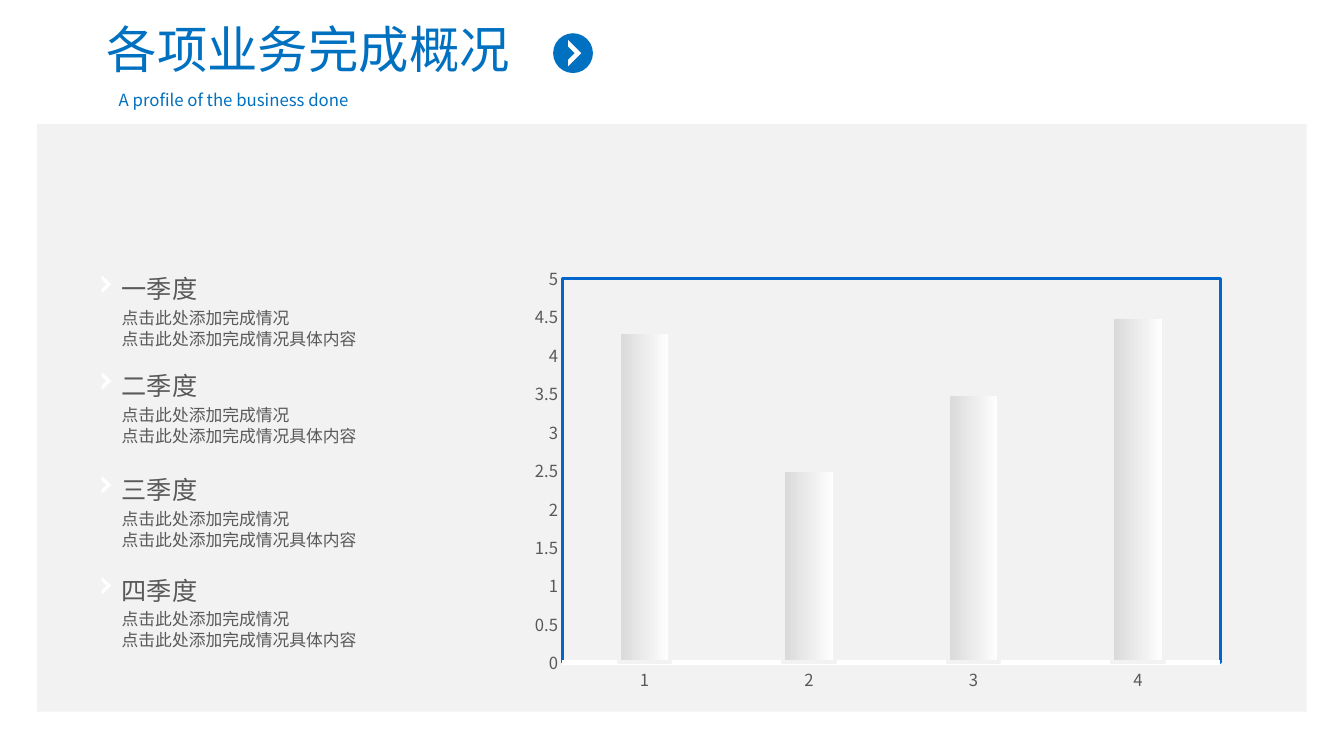
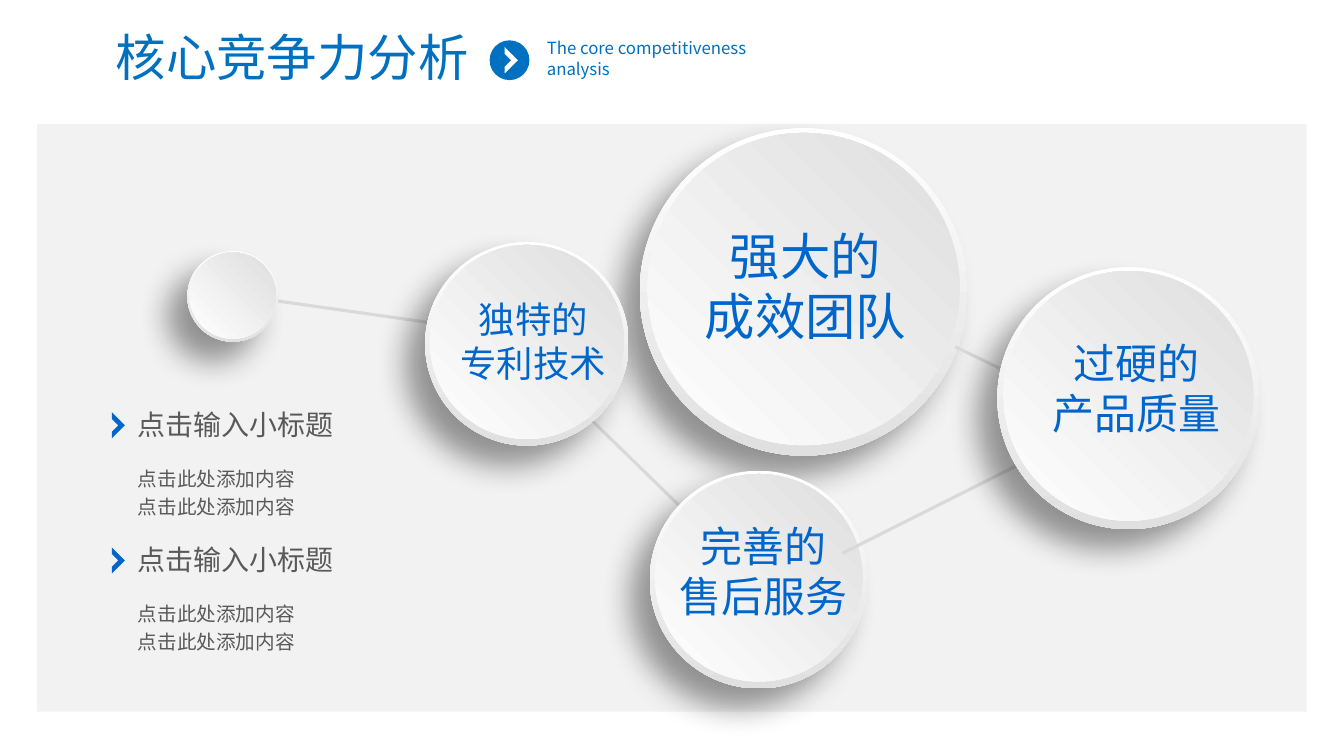
import dataclasses
import typing

import lxml.etree
import pptx
import pptx.chart.data
import pptx.dml.color
import pptx.enum.chart
import pptx.enum.shapes
import pptx.enum.text
import pptx.oxml.ns
import pptx.util

RGB = pptx.dml.color.RGBColor
Pt = pptx.util.Pt
ALIGN = pptx.enum.text.PP_ALIGN
SHAPE = pptx.enum.shapes.MSO_SHAPE
qn = pptx.oxml.ns.qn

SKY = RGB(0x00, 0x70, 0xC0)
BLUE = RGB(0x00, 0x66, 0xCC)
TEXT = RGB(0x59, 0x59, 0x59)
PALE = RGB(0xF2, 0xF2, 0xF2)
GREY = RGB(0xD9, 0xD9, 0xD9)
RIM = RGB(0xE0, 0xE0, 0xE0)
FACE = RGB(0xDD, 0xDE, 0xDD)
WHITE = RGB(0xFF, 0xFF, 0xFF)
FONT = "Noto Sans CJK SC"

# The grid has square cells, ten to the inch.
CELL = pptx.util.Inches(0.1)
COLS, ROWS = 133.4, 75


class Box(typing.NamedTuple):
    left: float
    top: float
    width: float
    height: float

    def size(self) -> list[int]:
        return [cells(n) for n in self]


class Link(typing.NamedTuple):
    x1: float
    y1: float
    x2: float
    y2: float


@dataclasses.dataclass
class Head:
    title: str
    place: Box
    note: str
    spot: Box
    badge: tuple[float, float]


@dataclasses.dataclass
class Point:
    top: float
    head: str
    lines: list[str]


@dataclasses.dataclass
class Style:
    """How a list of points is set; gaps count from the top of a point."""
    mark: Box
    tint: RGB
    size: float
    lead: float
    drop: float
    small: float
    tight: float


@dataclasses.dataclass
class Disc:
    left: float
    top: float
    width: float
    links: list[Link] = dataclasses.field(default_factory=list)
    label: Box | None = None
    lines: list[str] = dataclasses.field(default_factory=list)
    size: float = 30


PANEL = Box(3.7, 12.3, 126, 58.3)
CHART = Box(51.7, 25.5, 70.7, 43.9)

WORK = Head("各项业务完成概况", Box(6.4, 1.3, 48.4, 7.1),
            "A profile of the business done", Box(10.8, 8.4, 50.4, 3), (54.9, 3.3))
CORE = Head("核心竞争力分析", Box(7.6, 2.1, 42.8, 7.1),
            "The core competitiveness analysis", Box(53.3, 3.3, 25, 5), (48.6, 4))

TERM = Style(Box(-1, 1.8, 0.95, 1.8), WHITE, 18, 30, 4.45, 12, 15)
TOPIC = Style(Box(-1.6, 1, 1.3, 2.6), BLUE, 20, 24, 5.5, 14, 20)

DONE = ["点击此处添加完成情况", "点击此处添加完成情况具体内容"]
TERMS = [Point(top, head, DONE) for top, head in
         [(25.5, "一季度"), (35.1, "二季度"), (45.4, "三季度"), (55.4, "四季度")]]
TOPICS = [Point(top, "点击输入小标题", ["点击此处添加内容"] * 2) for top in (39.9, 53.3)]

DISCS = [
    Disc(63.5, 12.7, 32.5, [], Box(67.5, 21.8, 24.9, 13.1), ["强大的", "成效团队"], 36),
    Disc(64.5, 46.7, 21.6, [Link(69, 51.7, 53.3, 36.4), Link(44, 32.2, 24.3, 29.4)],
         Box(65.9, 51.1, 19.7, 11.1), ["完善的", "售后服务"]),
    Disc(18.6, 24.9, 9, [Link(103.3, 45, 83.6, 54.9)]),
    Disc(42.2, 24, 20.2, [], Box(44, 29, 17.9, 9.8), ["独特的", "专利技术"], 26),
    Disc(99, 26.5, 26, [Link(103.3, 38.5, 94.8, 34.4)],
         Box(103.3, 33, 19.1, 11.1), ["过硬的", "产品质量"]),
]


def cells(count: float) -> int:
    return round(count * CELL)


def write(frame, lines: list[str], size: float, tint: RGB,
          lead: float | None = None, align=ALIGN.LEFT) -> None:
    frame.word_wrap = True
    frame.auto_size = pptx.enum.text.MSO_AUTO_SIZE.NONE
    frame.vertical_anchor = pptx.enum.text.MSO_ANCHOR.TOP
    for i, line in enumerate(lines):
        para = frame.add_paragraph() if i else frame.paragraphs[0]
        para.alignment = align
        para.line_spacing = Pt(lead or size * 1.2)
        para.space_before = Pt(0)
        run = para.add_run()
        run.text = line
        run.font.size = Pt(size)
        run.font.color.rgb = tint
        run.font.name = FONT
        east = lxml.etree.SubElement(run.font._element, qn("a:ea"))
        east.set("typeface", FONT)


def note(slide, box: Box, *args, **more) -> None:
    """Add a text box and write in it."""
    write(slide.shapes.add_textbox(*box.size()).text_frame, *args, **more)


def plain(shape, tint: RGB | None = None):
    """Strip the line and shadow, and fill with one colour if given."""
    shape.shadow.inherit = False
    shape.line.fill.background()
    if tint is not None:
        shape.fill.solid()
        shape.fill.fore_color.rgb = tint
    return shape


def blend(fill, start: RGB, end: RGB, angle: float) -> None:
    fill.gradient()
    fill.gradient_angle = angle
    for stop, tint in zip(fill.gradient_stops, (start, end)):
        stop.color.rgb = tint


def arrow(slide, box: Box, tint: RGB) -> None:
    """Draw a thin angle that points right."""
    left, top, width, height = box.size()
    first, *rest = [(left + round(x * width), top + round(y * height)) for x, y in
                    [(0, 0), (1, 0.5), (0, 1), (0, 0.75), (0.5, 0.5), (0, 0.25)]]
    form = slide.shapes.build_freeform(*first, scale=1.0)
    form.add_line_segments(rest, close=True)
    plain(form.convert_to_shape(), tint)


def start(deck, head: Head):
    """Add a slide with its panel, title, note and badge."""
    slide = deck.slides.add_slide(deck.slide_layouts[5])
    plain(slide.shapes.add_shape(SHAPE.RECTANGLE, *PANEL.size()), PALE)
    title = slide.shapes.title
    title.left, title.top, title.width, title.height = head.place.size()
    write(title.text_frame, [head.title], 36, SKY, align=ALIGN.CENTER)
    note(slide, head.spot, [head.note], 12, SKY)
    left, top = head.badge
    disc = Box(left, top, 3.95, 3.95)
    plain(slide.shapes.add_shape(SHAPE.OVAL, *disc.size()), SKY)
    arrow(slide, Box(left + 1.5, top + 0.68, 1.3, 2.6), WHITE)
    return slide


def points(slide, items: list[Point], style: Style) -> None:
    left = 11.1 if style is TERM else 12.7
    for item in items:
        note(slide, Box(left, item.top, 27, 5.2), [item.head],
             style.size, TEXT, style.lead)
        note(slide, Box(left, item.top + style.drop, 32, 6.6), item.lines,
             style.small, TEXT, style.tight)
        mark = style.mark
        arrow(slide, mark._replace(left=left + mark.left, top=item.top + mark.top),
              style.tint)


def frame(chart) -> None:
    """Fix the plot area and give it a blue border."""
    plot = chart._chartSpace.find(".//" + qn("c:plotArea"))
    for old in plot.findall(qn("c:layout")):
        plot.remove(old)
    layout = lxml.etree.Element(qn("c:layout"))
    plot.insert(0, layout)
    manual = lxml.etree.SubElement(layout, qn("c:manualLayout"))
    for tag, value in [("layoutTarget", "inner"), ("xMode", "edge"), ("yMode", "edge"),
                       ("x", "0.058"), ("y", "0.048"), ("w", "0.924"), ("h", "0.868")]:
        lxml.etree.SubElement(manual, qn("c:" + tag)).set("val", value)
    look = lxml.etree.SubElement(plot, qn("c:spPr"))
    lxml.etree.SubElement(look, qn("a:noFill"))
    line = lxml.etree.SubElement(look, qn("a:ln"), w=str(Pt(2.25)))
    fill = lxml.etree.SubElement(line, qn("a:solidFill"))
    lxml.etree.SubElement(fill, qn("a:srgbClr"), val=str(BLUE))


def bars(slide) -> None:
    data = pptx.chart.data.CategoryChartData()
    data.categories = ["1", "2", "3", "4"]
    data.add_series("Series 1", (4.3, 2.5, 3.5, 4.5))
    kind = pptx.enum.chart.XL_CHART_TYPE.COLUMN_CLUSTERED
    chart = slide.shapes.add_chart(kind, *CHART.size(), data).chart
    chart.has_title = chart.has_legend = False
    chart.font.name = FONT
    chart.font.size = Pt(10)
    plot = chart.plots[0]
    plot.vary_by_categories = False
    plot.gap_width, plot.overlap = 219, -27
    series = plot.series[0]
    blend(series.format.fill, GREY, WHITE, 0)
    series.format.line.color.rgb = PALE
    series.format.line.width = Pt(3)
    for axis in (chart.category_axis, chart.value_axis):
        axis.has_major_gridlines = False
        axis.major_tick_mark = pptx.enum.chart.XL_TICK_MARK.NONE
        axis.minor_tick_mark = pptx.enum.chart.XL_TICK_MARK.NONE
        font = axis.tick_labels.font
        font.name, font.size = FONT, Pt(11.9)
        font.color.rgb = TEXT
    base = chart.category_axis.format.line
    base.color.rgb = WHITE
    base.width = Pt(3.25)
    scale = chart.value_axis
    scale.minimum_scale, scale.maximum_scale, scale.major_unit = 0, 5, 0.5
    scale.format.line.fill.background()
    frame(chart)


def shade(shape) -> None:
    """Cast a soft shadow down and to the left."""
    list_ = shape._element.spPr.find(qn("a:effectLst"))
    cast = lxml.etree.SubElement(
        list_, qn("a:outerShdw"), blurRad=str(Pt(22)), dist=str(Pt(20)),
        dir=str(135 * 60000), algn="tr", rotWithShape="0")
    tint = lxml.etree.SubElement(cast, qn("a:srgbClr"), val="000000")
    lxml.etree.SubElement(tint, qn("a:alpha"), val="40000")


def tie(slide, link: Link) -> None:
    kind = pptx.enum.shapes.MSO_CONNECTOR.STRAIGHT
    line = slide.shapes.add_connector(kind, *[cells(n) for n in link])
    line.line.color.rgb = GREY
    line.line.width = Pt(2.25)
    lxml.etree.SubElement(line._element.spPr, qn("a:effectLst"))


def button(slide, disc: Disc) -> None:
    """Draw the links that lie under a disc, then the disc and its label."""
    for link in disc.links:
        tie(slide, link)
    wide = disc.width
    rim = Box(disc.left, disc.top, wide, wide)
    face = Box(disc.left + wide * 0.024, disc.top + wide * 0.015, wide * 0.953, wide * 0.953)
    for box, tint, angle in [(rim, RIM, 270), (face, FACE, 45)]:
        shape = plain(slide.shapes.add_shape(SHAPE.OVAL, *box.size()))
        blend(shape.fill, WHITE, tint, angle)
        if box is rim:
            shade(shape)
    if disc.label:
        note(slide, disc.label, disc.lines, disc.size, BLUE, align=ALIGN.CENTER)


def main() -> None:
    deck = pptx.Presentation()
    deck.slide_width, deck.slide_height = cells(COLS), cells(ROWS)
    work = start(deck, WORK)
    bars(work)
    points(work, TERMS, TERM)
    core = start(deck, CORE)
    points(core, TOPICS, TOPIC)
    for disc in DISCS:
        button(core, disc)
    deck.save("out.pptx")


if __name__ == "__main__":
    main()
